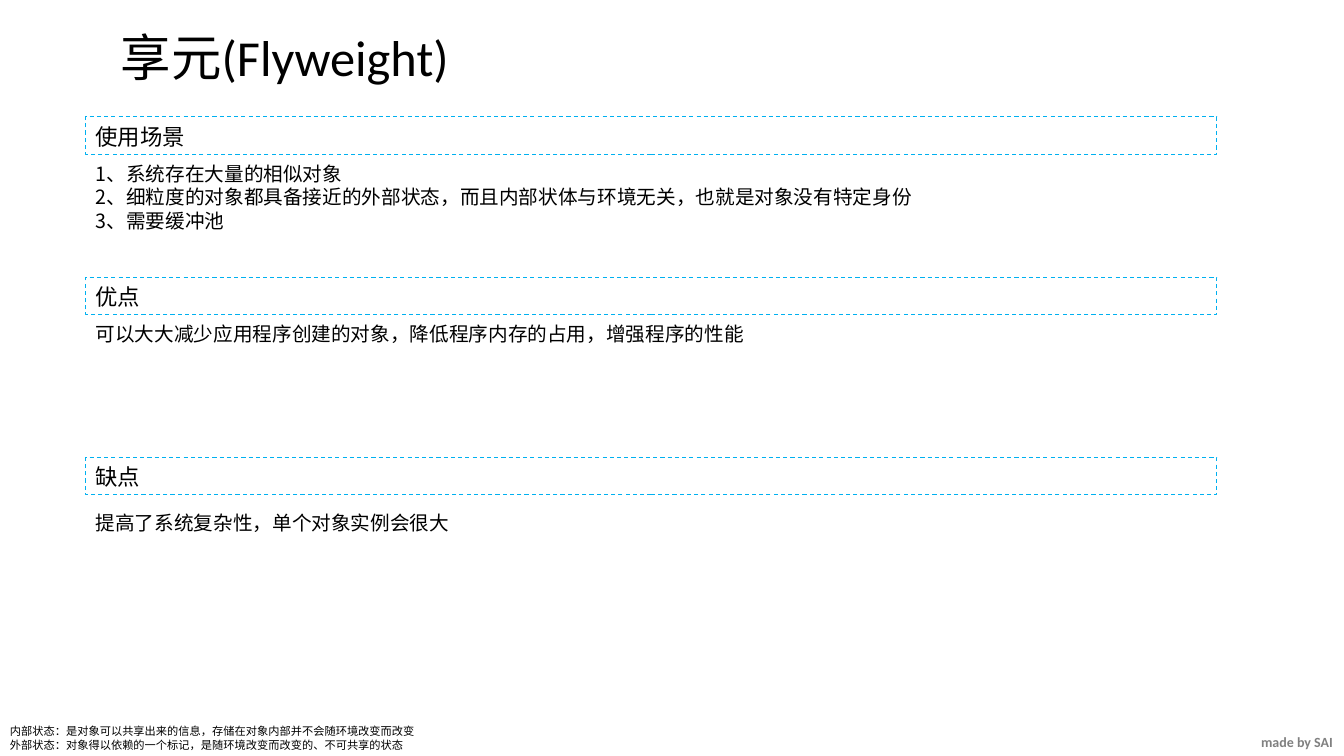
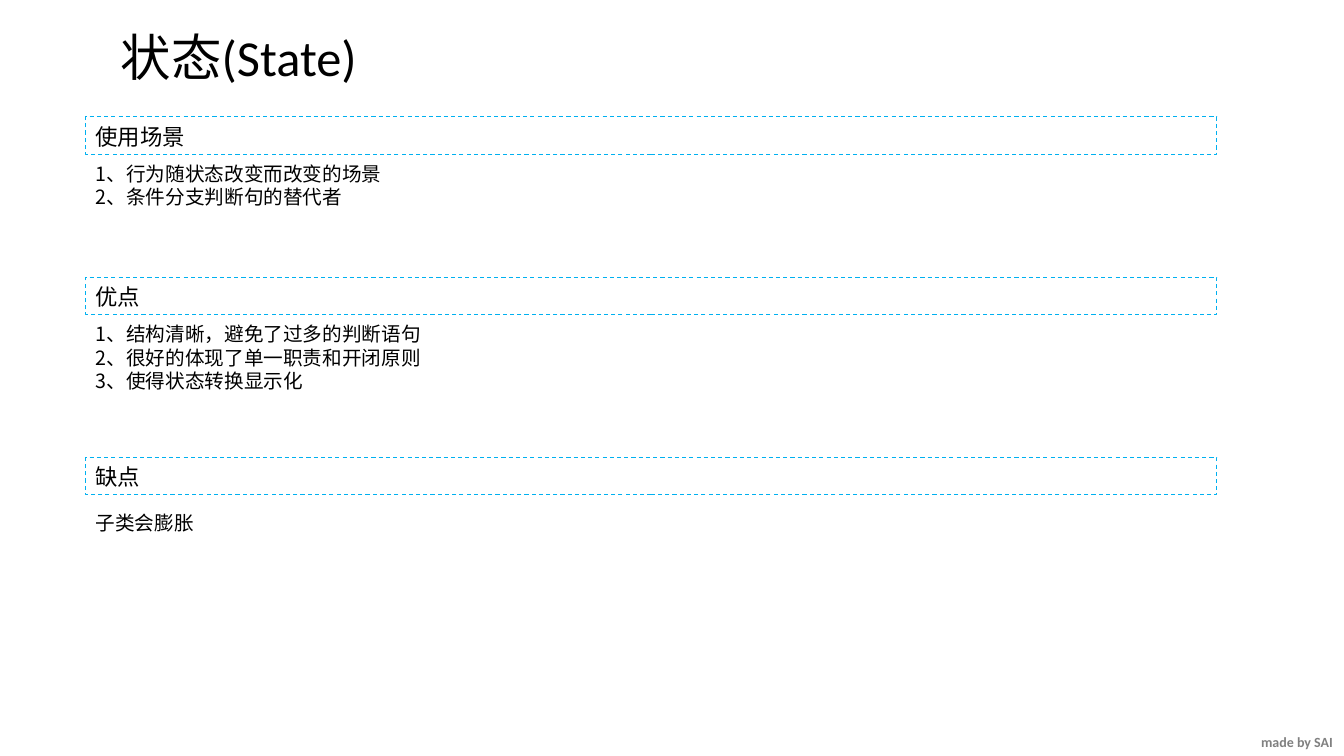
import dataclasses

import pptx
import pptx.dml.color
import pptx.enum.dml
import pptx.enum.shapes
import pptx.enum.text
import pptx.oxml.ns
import pptx.util
from pptx.util import Inches


@dataclasses.dataclass(frozen=True)
class Theme:
    ink: str = "000000"
    grey: str = "808080"
    edge: str = "00B0F0"
    latin: str = "Calibri"
    han: str = "Noto Sans CJK SC"
    title: int = 36
    head: int = 16
    body: int = 14
    foot: int = 10
    note: int = 8


THEME = Theme()
LEFT, WIDTH = 0.85, 11.22
PARTS = (("使用场景", 1.16, 1.55), ("优点", 2.75, 3.14), ("缺点", 4.54, 5.02))


def rgb(code):
    return pptx.dml.color.RGBColor.from_string(code)


def write(shape, text, *, size, font=THEME.han, color=THEME.ink,
          bold=False, lead=None, wrap=True):
    frame = shape.text_frame
    frame.word_wrap = wrap
    frame.text = text
    for para in frame.paragraphs:
        para.alignment = pptx.enum.text.PP_ALIGN.LEFT
        if lead:
            para.line_spacing = pptx.util.Pt(lead)
        for run in para.runs:
            run.font.name = font
            run.font.size = pptx.util.Pt(size)
            run.font.bold = bold
            run.font.color.rgb = rgb(color)
            props = run.font._element
            east = props.makeelement(pptx.oxml.ns.qn("a:ea"), {"typeface": THEME.han})
            props.find(pptx.oxml.ns.qn("a:latin")).addnext(east)


class Deck:
    def __init__(self, theme):
        self.theme = theme
        self.file = pptx.Presentation()
        self.file.slide_width = Inches(13.33)
        self.file.slide_height = Inches(7.5)
        self.slide = None

    def start(self, title):
        self.slide = self.file.slides.add_slide(self.file.slide_layouts[6])
        self.text(12.41, 7.23, 0.92, 0.27, "made by SAI", size=self.theme.foot,
                  font=self.theme.latin, color=self.theme.grey, bold=True, wrap=False)
        self.text(1.1, 0.16, 3.72, 0.71, title, size=self.theme.title,
                  font=self.theme.latin, lead=47)

    def text(self, left, top, width, height, words, **style):
        box = self.slide.shapes.add_textbox(
            Inches(left), Inches(top), Inches(width), Inches(height))
        write(box, words, **style)

    def head(self, top, words):
        bar = self.slide.shapes.add_shape(
            pptx.enum.shapes.MSO_SHAPE.RECTANGLE,
            Inches(LEFT), Inches(top), Inches(WIDTH), Inches(0.37))
        bar.shadow.inherit = False
        bar.fill.background()
        bar.line.color.rgb = rgb(self.theme.edge)
        bar.line.width = pptx.util.Pt(0.75)
        bar.line.dash_style = pptx.enum.dml.MSO_LINE.DASH
        write(bar, words, size=self.theme.head, lead=20)

    def body(self, top, lines):
        tall = 0.1 + 0.24 * len(lines)
        self.text(LEFT, top, WIDTH, tall, "\n".join(lines),
                  size=self.theme.body, lead=17)

    def note(self, lines):
        self.text(0, 7.13, 4.24, 0.37, "\n".join(lines), size=self.theme.note,
                  font=self.theme.latin, lead=10, wrap=False)


PAGES = (
    ("享元(Flyweight)",
     (("1、系统存在大量的相似对象",
       "2、细粒度的对象都具备接近的外部状态，而且内部状体与环境无关，也就是对象没有特定身份",
       "3、需要缓冲池"),
      ("可以大大减少应用程序创建的对象，降低程序内存的占用，增强程序的性能",),
      ("提高了系统复杂性，单个对象实例会很大",)),
     ("内部状态：是对象可以共享出来的信息，存储在对象内部并不会随环境改变而改变",
      "外部状态：对象得以依赖的一个标记，是随环境改变而改变的、不可共享的状态")),
    ("状态(State)",
     (("1、行为随状态改变而改变的场景",
       "2、条件分支判断句的替代者"),
      ("1、结构清晰，避免了过多的判断语句",
       "2、很好的体现了单一职责和开闭原则",
       "3、使得状态转换显示化"),
      ("子类会膨胀",)),
     ()),
)


def main():
    deck = Deck(THEME)
    for title, texts, notes in PAGES:
        deck.start(title)
        for (name, top, below), lines in zip(PARTS, texts):
            deck.head(top, name)
            deck.body(below, lines)
        if notes:
            deck.note(notes)
    deck.file.save("out.pptx")


if __name__ == "__main__":
    main()
